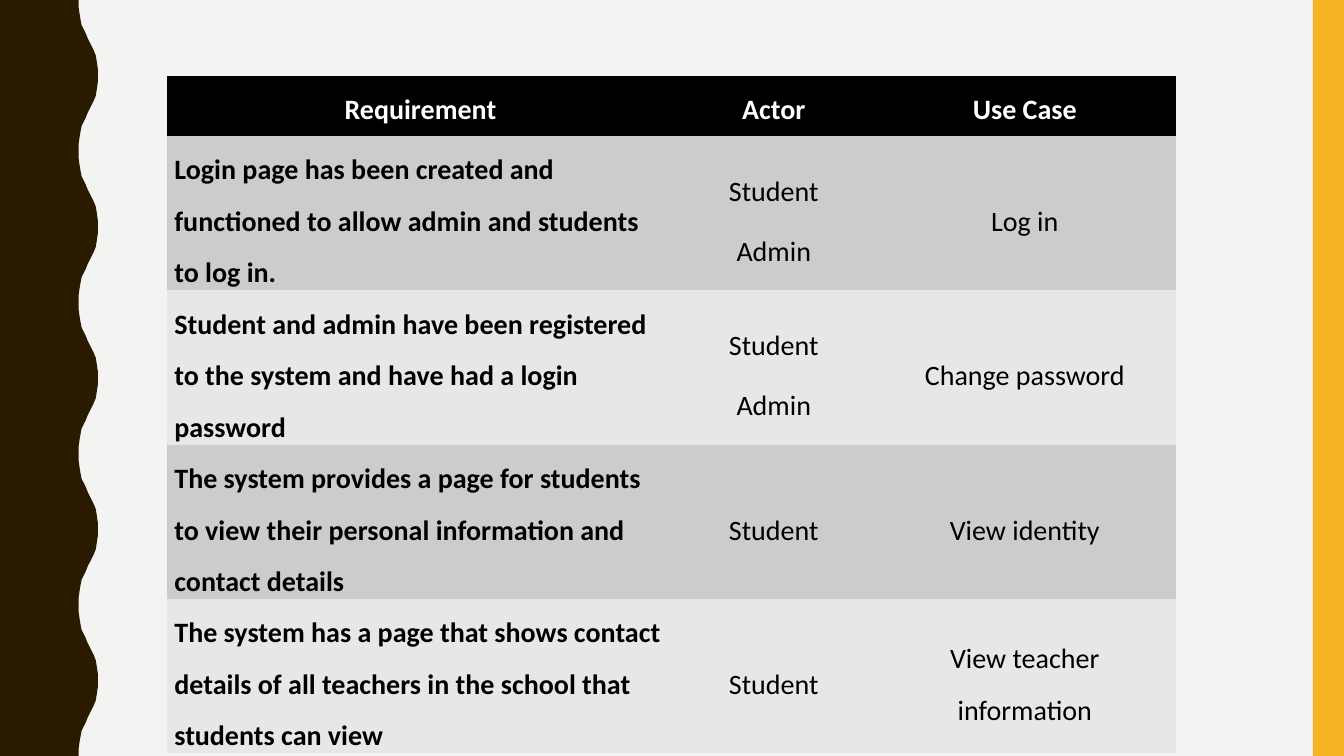
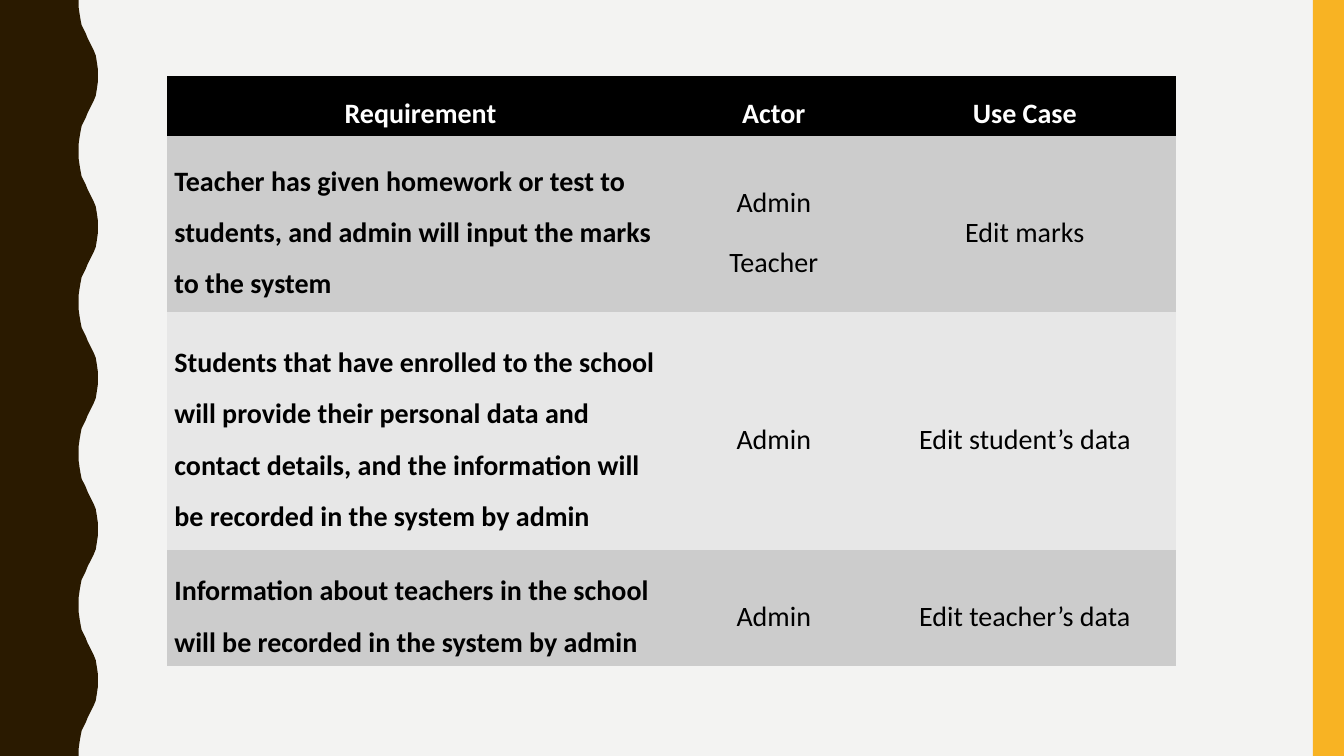
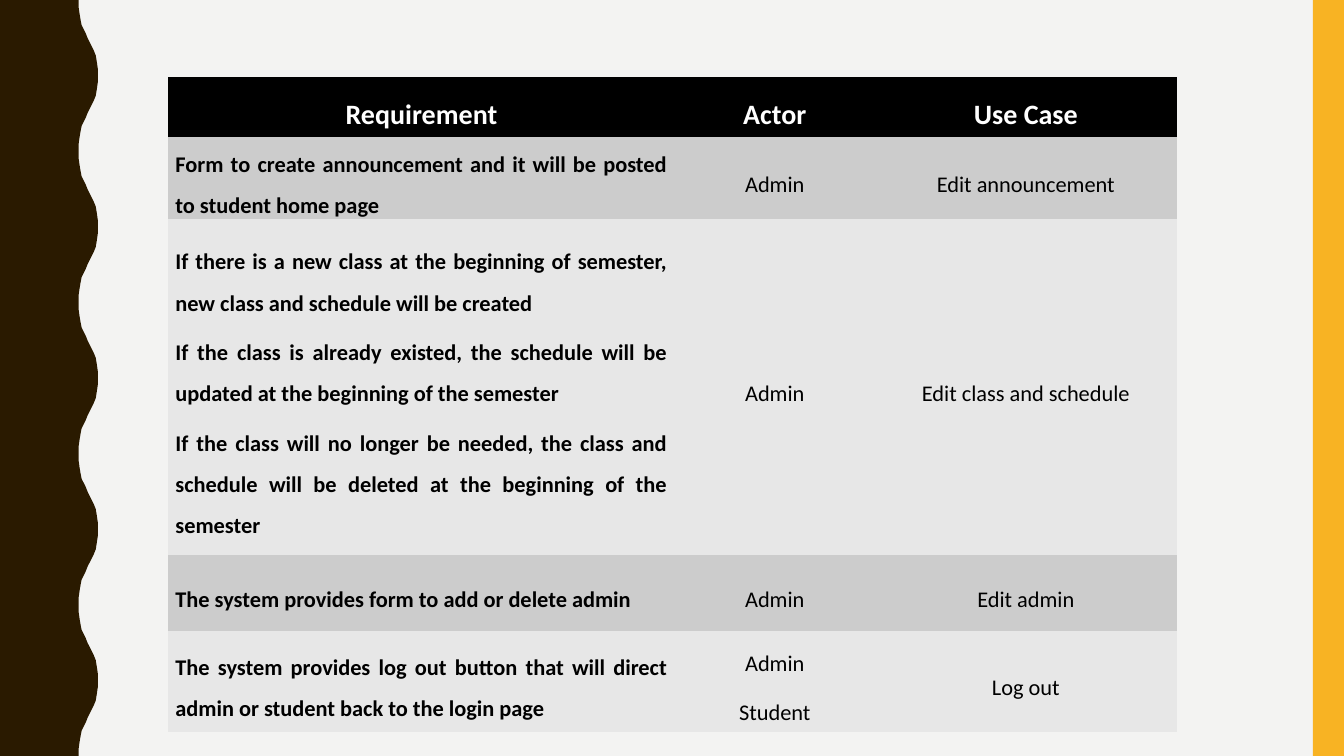
from pptx import Presentation
from pptx.dml.color import RGBColor
from pptx.enum import shapes, text
from pptx.oxml.ns import qn
from pptx.util import Inches, Pt

# Shared look
BACKGROUND, WAVE, STRIPE = "F3F3F2", "2A1A00", "F8B323"
HEADER_FILL, ROW_FILLS = "000000", ("CCCCCC", "E7E7E7")
BLACK, WHITE = "000000", "FFFFFF"
FONT = "Calibri"
NO_STYLE_NO_GRID = "{2D5ABB26-0587-4C30-8999-92F81FD0307C}"
LEFT, CENTER, JUSTIFY = text.PP_ALIGN.LEFT, text.PP_ALIGN.CENTER, text.PP_ALIGN.JUSTIFY
TOP, MIDDLE = text.MSO_ANCHOR.TOP, text.MSO_ANCHOR.MIDDLE

COLUMNS = (5.02, 1.99, 2.99)
HEADINGS = ("Requirement", "Actor", "Use Case")


def paint(fill, color):
    fill.solid()
    fill.fore_color.rgb = RGBColor.from_string(color)


def write(cell, words, size=20, color=BLACK, bold=False, align=CENTER, anchor=MIDDLE):
    cell.vertical_anchor = anchor
    cell.margin_left = cell.margin_right = Inches(0.07)
    cell.margin_top = cell.margin_bottom = 0
    cell.text_frame.text = words
    for paragraph in cell.text_frame.paragraphs:
        paragraph.alignment = align
        paragraph.line_spacing = 1.5
        paragraph.space_after = Pt(6)
        for run in paragraph.runs:
            run.font.name = FONT
            run.font.size = Pt(size)
            run.font.bold = bold
            run.font.color.rgb = RGBColor.from_string(color)


# Content: row height, requirement, actors, use case
pages = [
    dict(at=(1.66, 0.75), anchor=TOP, size=20, align=LEFT, rows=[
        (1.39, "Login page has been created and functioned to allow admin and students to log in.",
         "Student\nAdmin", "Log in"),
        (1.39, "Student and admin have been registered to the system and have had a login password",
         "Student\nAdmin", "Change password"),
        (1.39, "The system provides a page for students to view their personal information "
               "and contact details",
         "Student", "View identity"),
        (1.39, "The system has a page that shows contact details of all teachers in the school "
               "that students can view",
         "Student", "View teacher information"),
    ]),
    dict(at=(1.66, 0.75), anchor=MIDDLE, size=20, align=LEFT, rows=[
        (1.75, "Teacher has given homework or test to students, and admin will input the marks "
               "to the system",
         "Admin\nTeacher", "Edit marks"),
        (2.36, "Students that have enrolled to the school will provide their personal data and "
               "contact details, and the information will be recorded in the system by admin",
         "Admin", "Edit student’s data"),
        (1.15, "Information about teachers in the school will be recorded in the system by admin",
         "Admin", "Edit teacher’s data"),
    ]),
    dict(at=(1.67, 0.76), anchor=MIDDLE, size=16, align=JUSTIFY, rows=[
        (0.75, "Form to create announcement and it will be posted to student home page",
         "Admin", "Edit announcement"),
        (3.33, "If there is a new class at the beginning of semester, "
               "new class and schedule will be created\n"
               "If the class is already existed, the schedule will be updated "
               "at the beginning of the semester\n"
               "If the class will no longer be needed, the class and schedule will be deleted "
               "at the beginning of the semester",
         "Admin", "Edit class and schedule"),
        (0.75, "The system provides form to add or delete admin", "Admin", "Edit admin"),
        (1.01, "The system provides log out button that will direct admin or student back "
               "to the login page",
         "Admin\nStudent", "Log out"),
    ]),
]

prs = Presentation()
prs.slide_width, prs.slide_height = Inches(13.33), Inches(7.5)
layout = prs.slide_layouts[6]
paint(prs.slide_master.background.fill, BACKGROUND)
for placeholder in list(layout.placeholders):
    layout.placeholders.element.remove(placeholder.element)
slides = [prs.slides.add_slide(layout) for page in pages]

# Wavy left band: half a wave, mirrored and repeated five times
half_wave = [(0.78, 0), (0.78, 0.07), (0.79, 0.14), (0.8, 0.2), (0.81, 0.25),
             (0.83, 0.29), (0.85, 0.33), (0.87, 0.38), (0.89, 0.42), (0.91, 0.46),
             (0.93, 0.5), (0.95, 0.55), (0.96, 0.61), (0.97, 0.68), (0.97, 0.75)]
period = 1.5
full_wave = half_wave + [(x, period - y) for x, y in half_wave[-2::-1]]
edge = [(x, y + period * i) for i in range(5) for x, y in full_wave]
outline = slides[0].shapes.build_freeform(0, 0)
outline.add_line_segments([(Inches(x), Inches(y)) for x, y in edge + [(0, 7.5)]], close=True)
wave = outline.convert_to_shape()

# Right stripe
stripe = slides[0].shapes.add_shape(
    shapes.MSO_SHAPE.RECTANGLE, Inches(13.02), 0, Inches(0.31), Inches(7.5))

# Both bands belong to the layout that every slide uses
for band, color in ((wave, WAVE), (stripe, STRIPE)):
    paint(band.fill, color)
    band.line.fill.background()
    band.shadow.inherit = False
    layout.shapes.element.append(band.element)

# Requirement tables
for slide, page in zip(slides, pages):
    heights = [0.6] + [row[0] for row in page["rows"]]
    left, top = page["at"]
    frame = slide.shapes.add_table(
        len(heights), len(COLUMNS), Inches(left), Inches(top),
        Inches(sum(COLUMNS)), Inches(sum(heights)))
    table = frame.table
    table.horz_banding = False
    for style in frame.element.iter(qn("a:tableStyleId")):
        style.text = NO_STYLE_NO_GRID
    for column, width in zip(table.columns, COLUMNS):
        column.width = Inches(width)
    for row, height in zip(table.rows, heights):
        row.height = Inches(height)

    for cell, heading in zip(table.rows[0].cells, HEADINGS):
        paint(cell.fill, HEADER_FILL)
        write(cell, heading, color=WHITE, bold=True, anchor=page["anchor"])

    for r, (height, requirement, actors, use_case) in enumerate(page["rows"], 1):
        cells = list(table.rows[r].cells)
        for cell in cells:
            paint(cell.fill, ROW_FILLS[(r - 1) % 2])
        write(cells[0], requirement, size=page["size"], bold=True, align=page["align"])
        write(cells[1], actors, size=page["size"])
        write(cells[2], use_case, size=page["size"])

prs.save("out.pptx")
